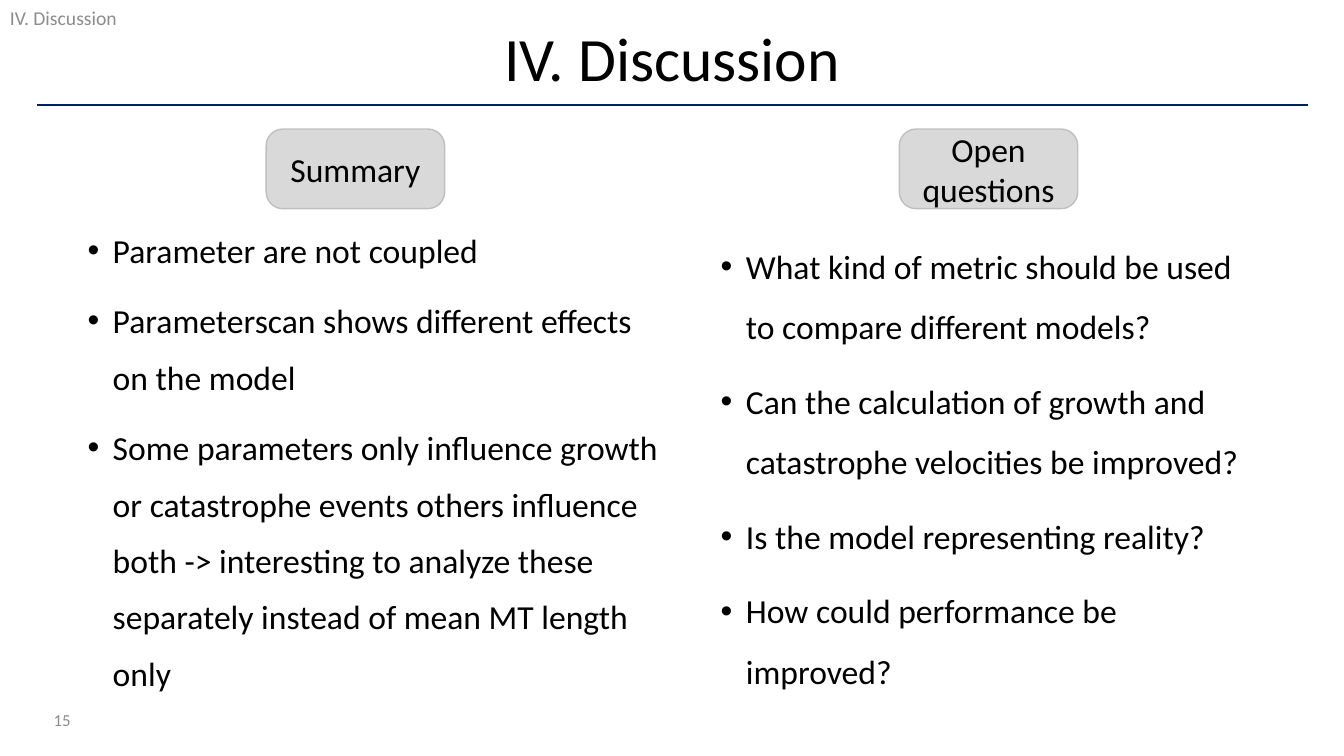
from lxml import etree
from pptx import Presentation
from pptx.dml.color import RGBColor
from pptx.enum.shapes import MSO_CONNECTOR, MSO_SHAPE
from pptx.enum.text import MSO_ANCHOR, PP_ALIGN
from pptx.oxml.ns import qn
from pptx.util import Pt

PX = 9144  # 100 px to the inch
FONT = "Calibri"
BLACK = RGBColor(0x00, 0x00, 0x00)
GRAY = RGBColor(0x8C, 0x8C, 0x8C)
NAVY = RGBColor(0x00, 0x20, 0x60)
LABEL_FILL = RGBColor(0xD9, 0xD9, 0xD9)
LABEL_LINE = RGBColor(0xBF, 0xBF, 0xBF)
LEFT, CENTER, RIGHT = PP_ALIGN.LEFT, PP_ALIGN.CENTER, PP_ALIGN.RIGHT
TOP, MIDDLE = MSO_ANCHOR.TOP, MSO_ANCHOR.MIDDLE
ROUNDED = MSO_SHAPE.ROUNDED_RECTANGLE
STRAIGHT = MSO_CONNECTOR.STRAIGHT

SECTION = "IV. Discussion"
SUMMARY = [
    "Parameter are not coupled",
    "Parameterscan shows different effects on the model",
    "Some parameters only influence growth or catastrophe events others "
    "influence both -> interesting to analyze these separately instead of "
    "mean MT length only",
]
QUESTIONS = [
    "What kind of metric should be used to compare different models?",
    "Can the calculation of growth and catastrophe velocities be improved?",
    "Is the model representing reality?",
    "How could performance be improved?",
]


def emu(*lengths):
    return [n * PX for n in lengths]


def write(p, text, size, color=BLACK, align=LEFT):
    p.alignment = align
    r = p.add_run()
    r.text = text
    r.font.name = FONT
    r.font.size = Pt(size)
    r.font.color.rgb = color


def add_frame(slide, box, anchor):
    tf = slide.shapes.add_textbox(*emu(*box)).text_frame
    tf.word_wrap = True
    tf.vertical_anchor = anchor
    return tf


def add_text(slide, box, text, size, color, align=LEFT, spacing=None):
    p = add_frame(slide, box, MIDDLE).paragraphs[0]
    p.line_spacing = spacing
    write(p, text, size, color, align)


def add_rule(slide, x1, x2, y):
    line = slide.shapes.add_connector(STRAIGHT, *emu(x1, y, x2, y))
    line.line.color.rgb = NAVY
    line.line.width = Pt(1)
    etree.SubElement(line._element.spPr, qn("a:effectLst"))


def add_label(slide, x, text):
    sp = slide.shapes.add_shape(ROUNDED, *emu(x, 128, 177, 79))
    sp.adjustments[0] = 0.21
    sp.shadow.inherit = False
    sp.fill.solid()
    sp.fill.fore_color.rgb = LABEL_FILL
    sp.line.color.rgb = LABEL_LINE
    sp.line.width = Pt(1)
    tf = sp.text_frame
    tf.word_wrap = True
    tf.vertical_anchor = MIDDLE
    write(tf.paragraphs[0], text, 24, align=CENTER)


def set_bullet(p):
    pPr = p._p.get_or_add_pPr()
    indent = 25 * PX
    pPr.set("marL", str(indent))
    pPr.set("indent", str(-indent))
    etree.SubElement(pPr, qn("a:buFont")).set("typeface", "Arial")
    etree.SubElement(pPr, qn("a:buChar")).set("char", "•")


def add_bullets(slide, box, items, spacing):
    tf = add_frame(slide, box, TOP)
    for i, item in enumerate(items):
        p = tf.add_paragraph() if i else tf.paragraphs[0]
        set_bullet(p)
        p.line_spacing = spacing
        if i:
            p.space_before = Pt(10)
        write(p, item, 24)


def main():
    prs = Presentation()
    prs.slide_width, prs.slide_height = emu(1333, 750)
    slide = prs.slides.add_slide(prs.slide_layouts[6])

    add_rule(slide, 37, 1297, 104)
    add_text(slide, (37, 18, 1260, 87), SECTION, 44, BLACK, CENTER, 0.9)
    add_text(slide, (0, -2, 186, 40), SECTION, 14, GRAY)
    add_text(slide, (1, 694, 79, 40), "15", 12, GRAY, RIGHT)

    add_label(slide, 264, "Summary")
    add_bullets(slide, (77, 207, 590, 486), SUMMARY, 1.4)
    add_label(slide, 892, "Open questions")
    add_bullets(slide, (705, 219, 551, 486), QUESTIONS, 1.5)

    prs.save("out.pptx")


if __name__ == "__main__":
    main()
